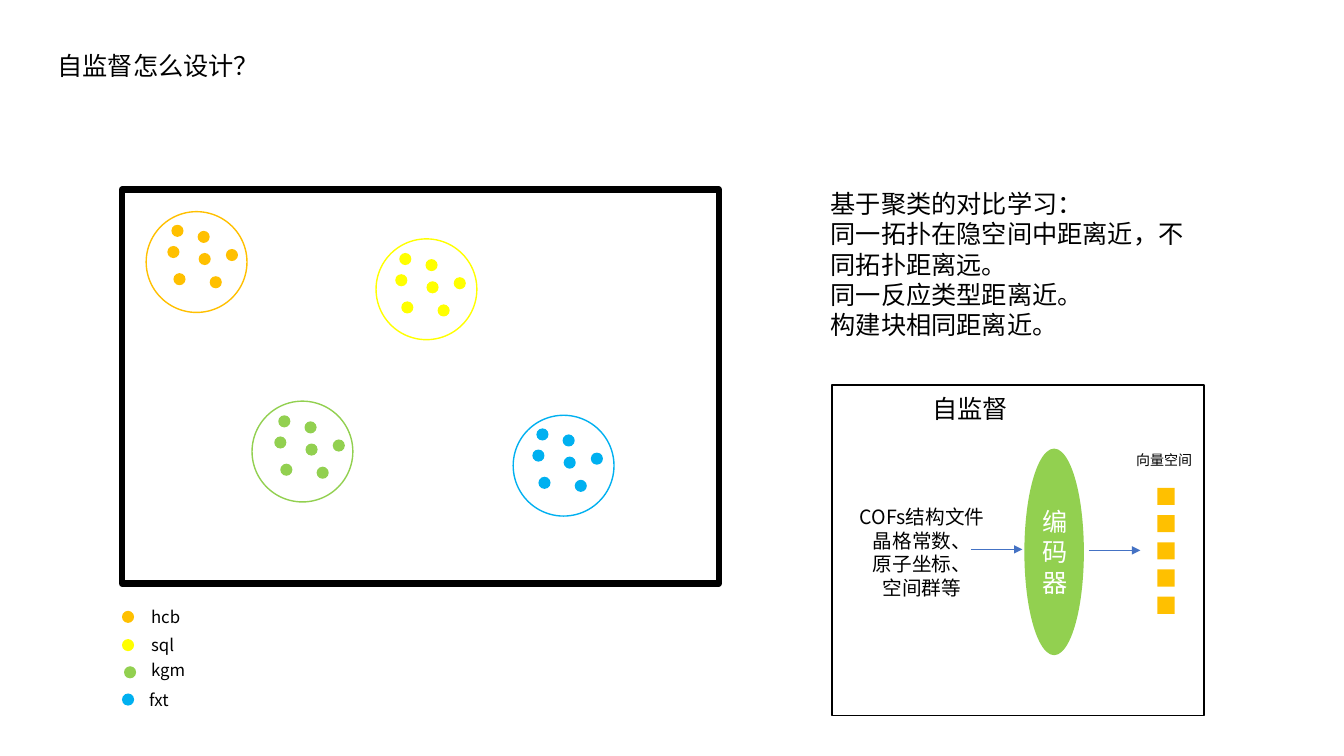
from lxml.etree import SubElement
from pptx import Presentation
from pptx.dml.color import RGBColor
from pptx.enum.shapes import MSO_CONNECTOR, MSO_SHAPE
from pptx.enum.text import MSO_ANCHOR, MSO_AUTO_SIZE, PP_ALIGN
from pptx.oxml.ns import qn
from pptx.util import Inches, Pt

FONT = "Noto Sans CJK SC"
BLACK, WHITE, BLUE = "000000", "FFFFFF", "4472C4"
GOLD, GREEN = "FFC000", "92D050"
DOT, RING, CELL = 0.12, 1, 0.17

TITLE = "自监督怎么设计？"
GROUPS = [
    {"name": "hcb", "color": GOLD, "ring": (1.45, 2.1), "dots": (1.7, 2.23),
     "key": (1.21, 6.06), "label": (1.4, 5.97)},
    {"name": "sql", "color": "FFFF00", "ring": (3.73, 2.37), "dots": (3.96, 2.51),
     "key": (1.21, 6.34), "label": (1.4, 6.25)},
    {"name": "kgm", "color": GREEN, "ring": (2.5, 3.98), "dots": (2.76, 4.12),
     "key": (1.23, 6.61), "label": (1.4, 6.5)},
    {"name": "fxt", "color": "00B0F0", "ring": (5.09, 4.12), "dots": (5.32, 4.25),
     "key": (1.21, 6.88), "label": (1.38, 6.79)},
]
OFFSETS = [(0, 0), (0.26, 0.06), (-0.04, 0.21), (0.27, 0.28),
           (0.02, 0.48), (0.54, 0.24), (0.38, 0.51)]
NOTES = ["基于聚类的对比学习：", "同一拓扑在隐空间中距离近，不同拓扑距离远。",
         "同一反应类型距离近。", "构建块相同距离近。"]
INPUTS = ["COFs结构文件晶格常数、", "原子坐标、", "空间群等"]
TEXTS = [
    (NOTES, (8.14, 1.82, 3.8, 1.62), 18, PP_ALIGN.LEFT),
    (INPUTS, (8.41, 4.96, 1.47, 1.04), 14, PP_ALIGN.CENTER),
    (["向量空间"], (11.17, 4.43, 0.78, 0.27), 10, PP_ALIGN.LEFT),
    (["自监督"], (9.15, 3.85, 1.07, 0.4), 18, PP_ALIGN.LEFT),
]
ARROWS = [(9.63, 5.45), (10.8, 5.46)]
REACH = 0.51
VECTOR = {"left": 11.48, "top": 4.84, "step": 0.27, "count": 5}

deck = Presentation()
deck.slide_width, deck.slide_height = Inches(13.33), Inches(7.5)
slide = deck.slides.add_slide(deck.slide_layouts[5])
shapes = slide.shapes


def rgb(color):
    return RGBColor.from_string(color)


def place(box):
    return [Inches(v) for v in box]


def write(frame, lines, size, color=BLACK, align=PP_ALIGN.LEFT, anchor=MSO_ANCHOR.TOP):
    frame.text = "\n".join(lines)
    frame.word_wrap = True
    frame.vertical_anchor = anchor
    for para in frame.paragraphs:
        para.alignment = align
        for run in para.runs:
            run.font.size = Pt(size)
            run.font.name = FONT
            run.font.color.rgb = rgb(color)
            SubElement(run.font._element, qn("a:ea"), typeface=FONT)


def label(lines, box, size, align=PP_ALIGN.LEFT):
    frame = shapes.add_textbox(*place(box)).text_frame
    write(frame, lines, size, align=align)
    frame.auto_size = MSO_AUTO_SIZE.SHAPE_TO_FIT_TEXT


def draw(kind, box, fill=None, line=None, width=1):
    shape = shapes.add_shape(kind, *place(box))
    shape.shadow.inherit = False
    if fill:
        shape.fill.solid()
        shape.fill.fore_color.rgb = rgb(fill)
    else:
        shape.fill.background()
    if line:
        shape.line.color.rgb = rgb(line)
        shape.line.width = Pt(width)
    else:
        shape.line.fill.background()
    return shape


def arrow(left, top):
    ends = place((left, top, left + REACH, top))
    link = shapes.add_connector(MSO_CONNECTOR.STRAIGHT, *ends)
    link.line.color.rgb = rgb(BLUE)
    link.line.width = Pt(0.5)
    SubElement(link.line._get_or_add_ln(), qn("a:tailEnd"), type="triangle")
    SubElement(link._element.spPr, qn("a:effectLst"))


title = shapes.title
title.left, title.top, title.width, title.height = place((0.47, 0.45, 4.58, 0.4))
write(title.text_frame, [TITLE], 18)
title.text_frame.auto_size = MSO_AUTO_SIZE.NONE

draw(MSO_SHAPE.RECTANGLE, (1.21, 1.88, 5.92, 3.91), WHITE, BLACK, 4.5)
for group in GROUPS:
    color = group["color"]
    left, top = group["dots"]
    spots = [(left + dx, top + dy) for dx, dy in OFFSETS]
    for spot in spots + [group["key"]]:
        draw(MSO_SHAPE.OVAL, (*spot, DOT, DOT), color)
    draw(MSO_SHAPE.OVAL, (*group["ring"], RING, RING), line=color)
    label([group["name"]], (*group["label"], 0.84, 0.3), 12)

draw(MSO_SHAPE.RECTANGLE, (8.25, 3.82, 3.69, 3.28), line=BLACK)
coder = draw(MSO_SHAPE.OVAL, (10.16, 4.45, 0.59, 2.05), GREEN)
write(coder.text_frame, ["编码器"], 18, WHITE, PP_ALIGN.CENTER, MSO_ANCHOR.MIDDLE)
for start in ARROWS:
    arrow(*start)
for row in range(VECTOR["count"]):
    top = VECTOR["top"] + row * VECTOR["step"]
    draw(MSO_SHAPE.RECTANGLE, (VECTOR["left"], top, CELL, CELL), GOLD)
for item in TEXTS:
    label(*item)

deck.save("out.pptx")
